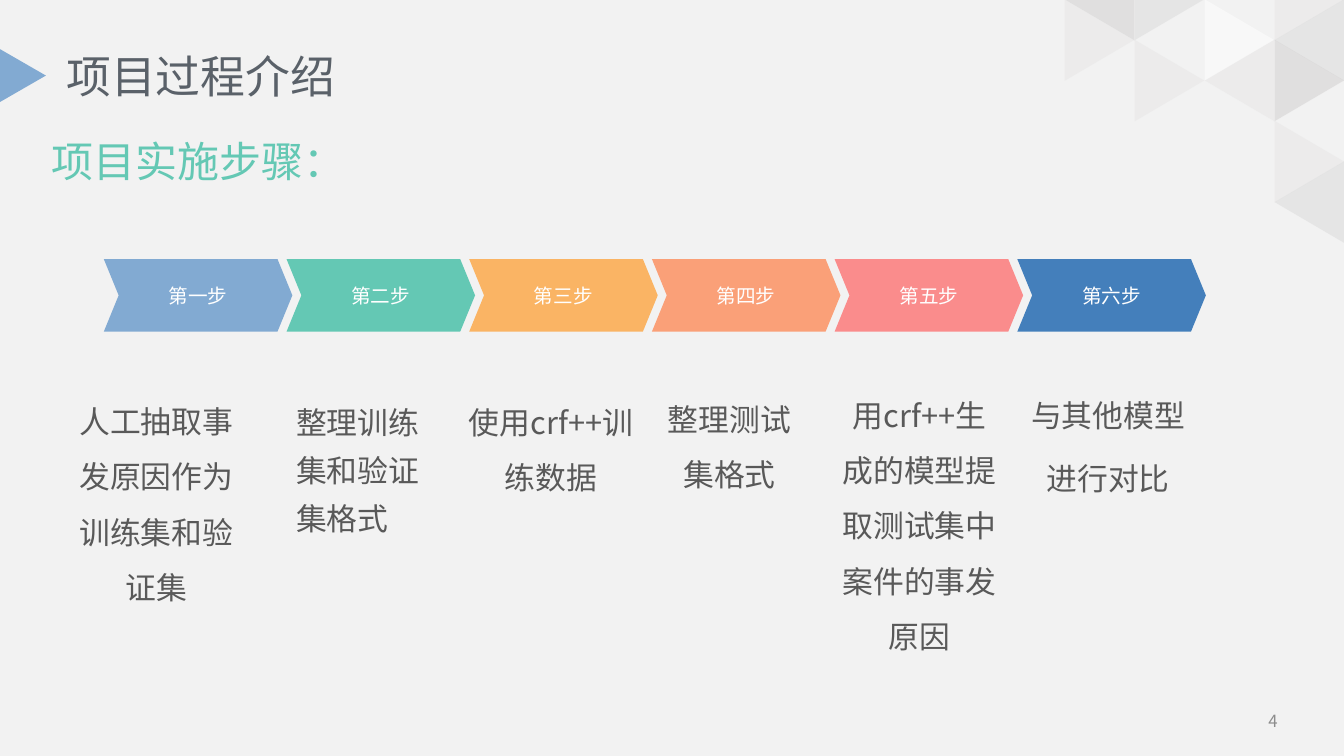
from pptx import Presentation
from pptx.util import Inches, Pt
from pptx.dml.color import RGBColor
from pptx.enum.shapes import MSO_SHAPE as Shape
from pptx.enum.text import PP_ALIGN as Align, MSO_ANCHOR as Anchor
from pptx.oxml.ns import qn
from lxml.etree import SubElement

# Content
FONT = "Noto Sans CJK SC"
COLOURS = {
    "page": "F2F2F2", "title": "5A6169", "body": "595959", "number": "8C8C8C",
    "white": "FFFFFF", "blue": "82AAD2", "green": "64C8B4", "amber": "FAB464",
    "orange": "FAA078", "pink": "FA8C8C", "navy": "447FBB",
    "dark": "D0CECE", "mid": "D9D9D9", "pale": "E7E6E6",
}
TITLE, SUBTITLE, PAGE_NUMBER = "项目过程介绍", "项目实施步骤：", "4"
CENTRED = {"alignment": Align.CENTER, "line_spacing": 1.5, "space_after": Pt(6)}
LEFT = {"line_spacing": 1.3}
# Step label, chevron colour, description lines, description box, paragraph format
STEPS = [
    ("第一步", "blue", ["人工抽取事发原因作为训练集和验证集"], (0.65, 3.76, 1.8, 2.29), CENTRED),
    ("第二步", "green", ["整理训练集和验证集格式"], (2.84, 3.85, 1.62, 1.78), LEFT),
    ("第三步", "amber", ["使用crf++训练数据"], (4.48, 3.77, 1.97, 1.18), CENTRED),
    ("第四步", "orange", ["整理测试集格式"], (6.41, 3.74, 1.65, 1.18), CENTRED),
    ("第五步", "pink", ["用crf++生成的模型提取测试集中案件的事发原因"],
     (8.22, 3.7, 1.8, 2.83), CENTRED),
    ("第六步", "navy", ["与其他模型", "进行对比"], (10.11, 3.7, 1.76, 1.27), CENTRED),
]
# Corner mosaic: colour of each triangle by row and column
MOSAIC = [
    ["dark", "mid", "page", "pale"],
    ["pale", "page", "white", "mid"],
    [None, "pale", "pale", "dark"],
    [None, None, "page", "page"],
    [None, None, "page", "pale"],
    [None, None, None, "mid"],
]

deck = Presentation()
deck.slide_width, deck.slide_height = Inches(13.33), Inches(7.5)
page = deck.slides.add_slide(deck.slide_layouts[6])


def colour(name):
    return RGBColor.from_string(COLOURS[name])


def add_filled(kind, area, fill, rotation=0, alpha=None):
    shape = page.shapes.add_shape(kind, *map(Inches, area))
    shape.shadow.inherit = False
    shape.rotation = rotation
    shape.fill.solid()
    shape.fill.fore_color.rgb = colour(fill)
    shape.line.fill.background()
    if alpha:
        tint = shape.fill._xPr.find(qn("a:solidFill"))[0]
        SubElement(tint, qn("a:alpha")).set("val", str(alpha * 1000))
    return shape


def write(frame, lines, size, fill, layout):
    for index, line in enumerate(lines):
        para = frame.paragraphs[0] if index == 0 else frame.add_paragraph()
        for name, value in layout.items():
            setattr(para, name, value)
        span = para.add_run()
        span.text = line
        for name, value in {"name": FONT, "size": Pt(size)}.items():
            setattr(span.font, name, value)
        span.font.color.rgb = colour(fill)
        SubElement(span.font._element, qn("a:ea")).set("typeface", FONT)


def add_text(area, lines, size, fill, layout, anchor=Anchor.TOP, wrap=True):
    frame = page.shapes.add_textbox(*map(Inches, area)).text_frame
    frame.word_wrap = wrap
    frame.vertical_anchor = anchor
    write(frame, lines, size, fill, layout)


# Background and corner mosaic: triangles alternate pointing left and right
page.background.fill.solid()
page.background.fill.fore_color.rgb = colour("page")
for row, names in enumerate(MOSAIC):
    for column, name in enumerate(names):
        if name:
            area = (10.5 + 0.694 * column, -0.35 + 0.402 * row, 0.81, 0.69)
            turn = 90 if (row + column) % 2 else 270
            add_filled(Shape.ISOSCELES_TRIANGLE, area, name, turn, alpha=50)

# Headings and page number
add_filled(Shape.ISOSCELES_TRIANGLE, (-0.04, 0.52, 0.53, 0.46), "blue", 90)
add_text((0.56, 0.4, 12.2, 0.7), [TITLE], 32, "title", {}, Anchor.MIDDLE)
add_text((0.41, 1.3, 3.15, 0.61), [SUBTITLE], 30, "green", {}, wrap=False)
add_text((12.25, 6.95, 0.52, 0.4), [PAGE_NUMBER], 12, "number",
         {"alignment": Align.RIGHT}, Anchor.MIDDLE)

# Steps: a chevron and a description each
for index, (label, fill, lines, area, layout) in enumerate(STEPS):
    chevron = add_filled(Shape.CHEVRON, (1.03 + 1.812 * index, 2.57, 1.87, 0.72), fill)
    chevron.adjustments[0] = 0.205
    chevron.text_frame.vertical_anchor = Anchor.MIDDLE
    write(chevron.text_frame, [label], 14, "white", {"alignment": Align.CENTER})
    add_text(area, lines, 22, "body", layout)

deck.save("out.pptx")
